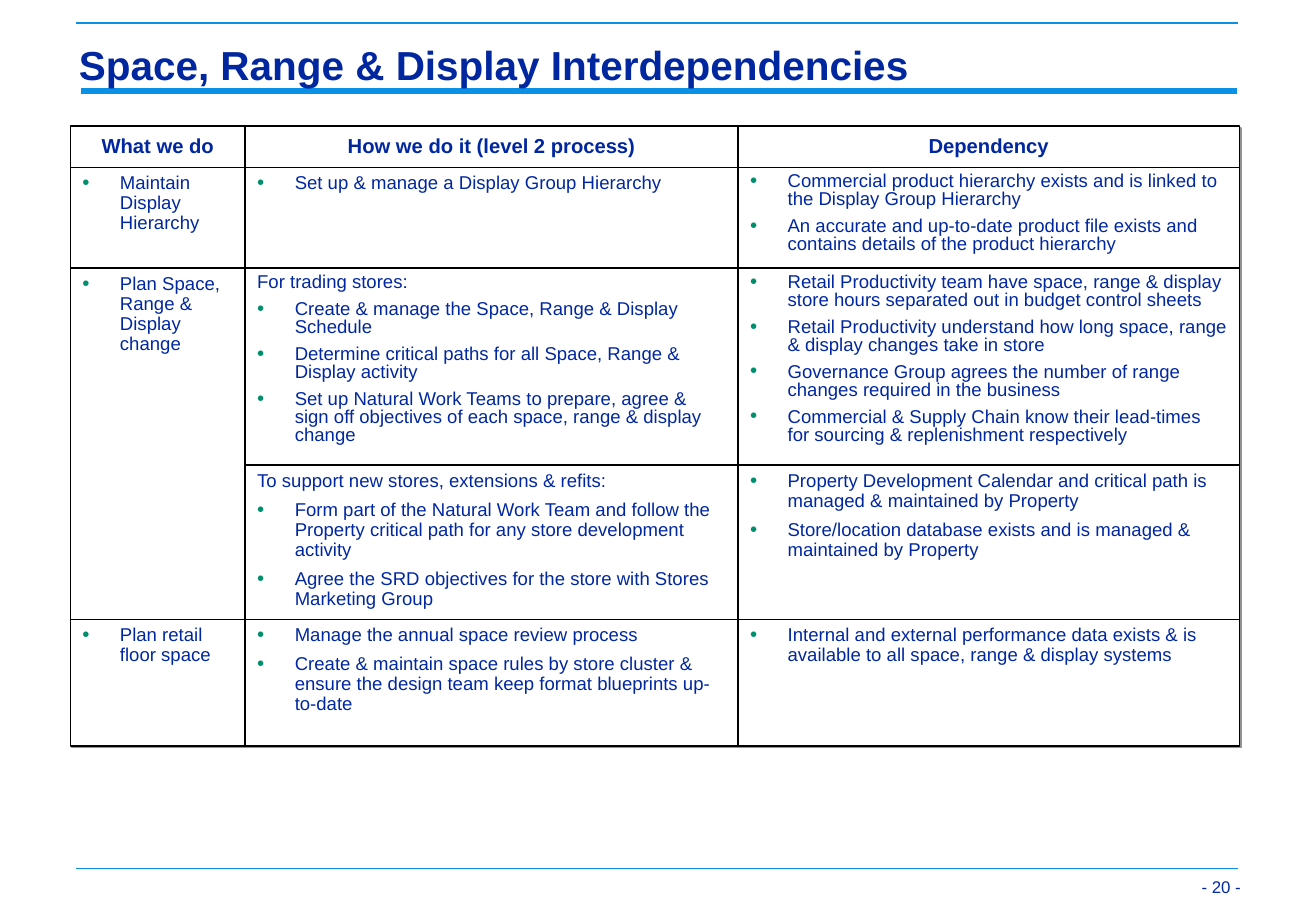
from dataclasses import dataclass

from lxml.etree import SubElement
from pptx import Presentation
from pptx.dml.color import RGBColor
from pptx.enum.shapes import MSO_CONNECTOR, MSO_SHAPE
from pptx.enum.text import MSO_ANCHOR as Anchor, PP_ALIGN as Align
from pptx.oxml.ns import qn
from pptx.slide import Slide
from pptx.text.text import TextFrame
from pptx.util import Inches, Pt

FONT = "Arial"
COLOURS = {
    "text": "00279F",
    "rule": "0A91E6",
    "bullet": "008F6D",
    "border": "000000",
    "cell": "FFFFFF",
    "shadow": "919191",
}


@dataclass(frozen=True)
class Rule:
    left: float
    right: float
    y: float
    weight: float
    colour: str = "rule"


@dataclass(frozen=True)
class Entry:
    bullets: tuple[str, ...] = ()
    intro: str = ""
    heading: str = ""
    spacing: float = 0.9
    row_span: int = 1


RULES = [
    Rule(0.67, 10.19, 0.75, 4),
    Rule(0.63, 10.2, 0.19, 1, "border"),
    Rule(0.63, 10.2, 0.19, 1),
    Rule(0.63, 10.2, 7.15, 1),
]
GRID_LEFT, GRID_TOP = 0.58, 1.04
COLUMN_WIDTHS = [1.44, 4.06, 4.13]
ROW_HEIGHTS = [0.34, 0.83, 1.62, 1.27, 1.04]

# None continues the activity from the row above
GRID_ROWS: list[list[Entry | None]] = [
    [
        Entry(heading="What we do"),
        Entry(heading="How we do it (level 2 process)"),
        Entry(heading="Dependency"),
    ],
    [
        Entry(("Maintain Display Hierarchy",)),
        Entry(("Set up & manage a Display Group Hierarchy",)),
        Entry((
            "Commercial product hierarchy exists and is linked to the Display Group Hierarchy",
            "An accurate and up-to-date product file exists and contains details of the product hierarchy",
        ), spacing=0.8),
    ],
    [
        Entry(("Plan Space, Range & Display change",), row_span=2),
        Entry((
            "Create & manage the Space, Range & Display Schedule",
            "Determine critical paths for all Space, Range & Display activity",
            "Set up Natural Work Teams to prepare, agree & sign off objectives of each space, "
            "range & display change",
        ), intro="For trading stores:", spacing=0.8),
        Entry((
            "Retail Productivity team have space, range & display store hours separated out "
            "in budget control sheets",
            "Retail Productivity understand how long space, range & display changes take in store",
            "Governance Group agrees the number of range changes required in the business",
            "Commercial & Supply Chain know their lead-times for sourcing & replenishment respectively",
        ), spacing=0.8),
    ],
    [
        None,
        Entry((
            "Form part of the Natural Work Team and follow the Property critical path for any "
            "store development activity",
            "Agree the SRD objectives for the store with Stores Marketing Group",
        ), intro="To support new stores, extensions & refits:"),
        Entry((
            "Property Development Calendar and critical path is managed & maintained by Property",
            "Store/location database exists and is managed & maintained by Property",
        )),
    ],
    [
        Entry(("Plan retail floor space",)),
        Entry((
            "Manage the annual space review process",
            "Create & maintain space rules by store cluster & ensure the design team keep "
            "format blueprints up-to-date",
        )),
        Entry((
            "Internal and external performance data exists & is available to all space, "
            "range & display systems",
        )),
    ],
]


def rgb(name: str) -> RGBColor:
    return RGBColor.from_string(COLOURS[name])


def add_text(frame: TextFrame, text: str, *, size: float = 11, bold: bool = False,
             align: Align = Align.LEFT, spacing: float = 1.0, bullet: bool = False) -> None:
    """Append a paragraph, spaced from the one above it."""
    is_first = not frame.text
    paragraph = frame.paragraphs[0] if is_first else frame.add_paragraph()
    if bullet:
        properties = paragraph._p.get_or_add_pPr()
        properties.set("marL", str(Inches(0.31)))
        properties.set("indent", str(-Inches(0.31)))
        colour = SubElement(properties, qn("a:buClr"))
        SubElement(colour, qn("a:srgbClr"), val=COLOURS["bullet"])
        SubElement(properties, qn("a:buSzPct"), val="110000")
        SubElement(properties, qn("a:buFont"), typeface=FONT)
        SubElement(properties, qn("a:buChar"), char="•")
    paragraph.alignment = align
    paragraph.line_spacing = spacing
    paragraph.space_before = Pt(0 if is_first else 5.5)
    run = paragraph.add_run()
    run.text = text
    run.font.name = FONT
    run.font.size = Pt(size)
    run.font.bold = bold
    run.font.color.rgb = rgb("text")


def add_text_area(slide: Slide, left: float, top: float, width: float, height: float) -> TextFrame:
    frame = slide.shapes.add_textbox(Inches(left), Inches(top), Inches(width), Inches(height)).text_frame
    frame.word_wrap = True
    frame.vertical_anchor = Anchor.BOTTOM
    frame.margin_left = frame.margin_right = Inches(0.07)
    frame.margin_top = frame.margin_bottom = Inches(0.03)
    return frame


def add_rule(slide: Slide, rule: Rule) -> None:
    line = slide.shapes.add_connector(
        MSO_CONNECTOR.STRAIGHT, Inches(rule.left), Inches(rule.y), Inches(rule.right), Inches(rule.y))
    line.line.color.rgb = rgb(rule.colour)
    line.line.width = Pt(rule.weight)
    SubElement(line._element.spPr, qn("a:effectLst"))


def add_entry(slide: Slide, entry: Entry, left: float, top: float, width: float, height: float) -> None:
    box = slide.shapes.add_shape(
        MSO_SHAPE.RECTANGLE, Inches(left), Inches(top), Inches(width), Inches(height))
    box.fill.solid()
    box.fill.fore_color.rgb = rgb("cell")
    box.line.color.rgb = rgb("border")
    box.line.width = Pt(1)

    # Hard shadow to the lower right
    box.shadow.inherit = False
    effects = box._element.spPr.find(qn("a:effectLst"))
    shadow = SubElement(effects, qn("a:outerShdw"), blurRad="0", dist=str(Pt(1.4)),
                        dir="2700000", algn="ctr", rotWithShape="0")
    SubElement(shadow, qn("a:srgbClr"), val=COLOURS["shadow"])

    # Wording
    frame = box.text_frame
    frame.word_wrap = True
    frame.margin_left = frame.margin_right = Inches(0.1)
    frame.margin_top = frame.margin_bottom = Inches(0.05)
    frame.vertical_anchor = Anchor.MIDDLE if entry.heading else Anchor.TOP
    if entry.heading:
        add_text(frame, entry.heading, size=12, bold=True, align=Align.CENTER, spacing=entry.spacing)
    if entry.intro:
        add_text(frame, entry.intro, spacing=entry.spacing)
    for point in entry.bullets:
        add_text(frame, point, spacing=entry.spacing, bullet=True)


def add_dependency_grid(slide: Slide) -> None:
    for row, entries in enumerate(GRID_ROWS):
        top = GRID_TOP + sum(ROW_HEIGHTS[:row])
        for column, entry in enumerate(entries):
            if entry:
                left = GRID_LEFT + sum(COLUMN_WIDTHS[:column])
                height = sum(ROW_HEIGHTS[row:row + entry.row_span])
                add_entry(slide, entry, left, top, COLUMN_WIDTHS[column], height)


def main() -> None:
    deck = Presentation()
    deck.slide_width, deck.slide_height = Inches(10.84), Inches(7.5)
    slide = deck.slides.add_slide(deck.slide_layouts[6])

    # Page furniture
    for rule in RULES:
        add_rule(slide, rule)
    add_text(add_text_area(slide, 9.69, 7.02, 0.6, 0.39), "- 20 -", size=10, align=Align.RIGHT)

    # Title and grid
    add_text(add_text_area(slide, 0.58, 0.33, 9.63, 0.44),
             "Space, Range & Display Interdependencies", size=24, bold=True, spacing=0.97)
    add_dependency_grid(slide)
    deck.save("out.pptx")


if __name__ == "__main__":
    main()
